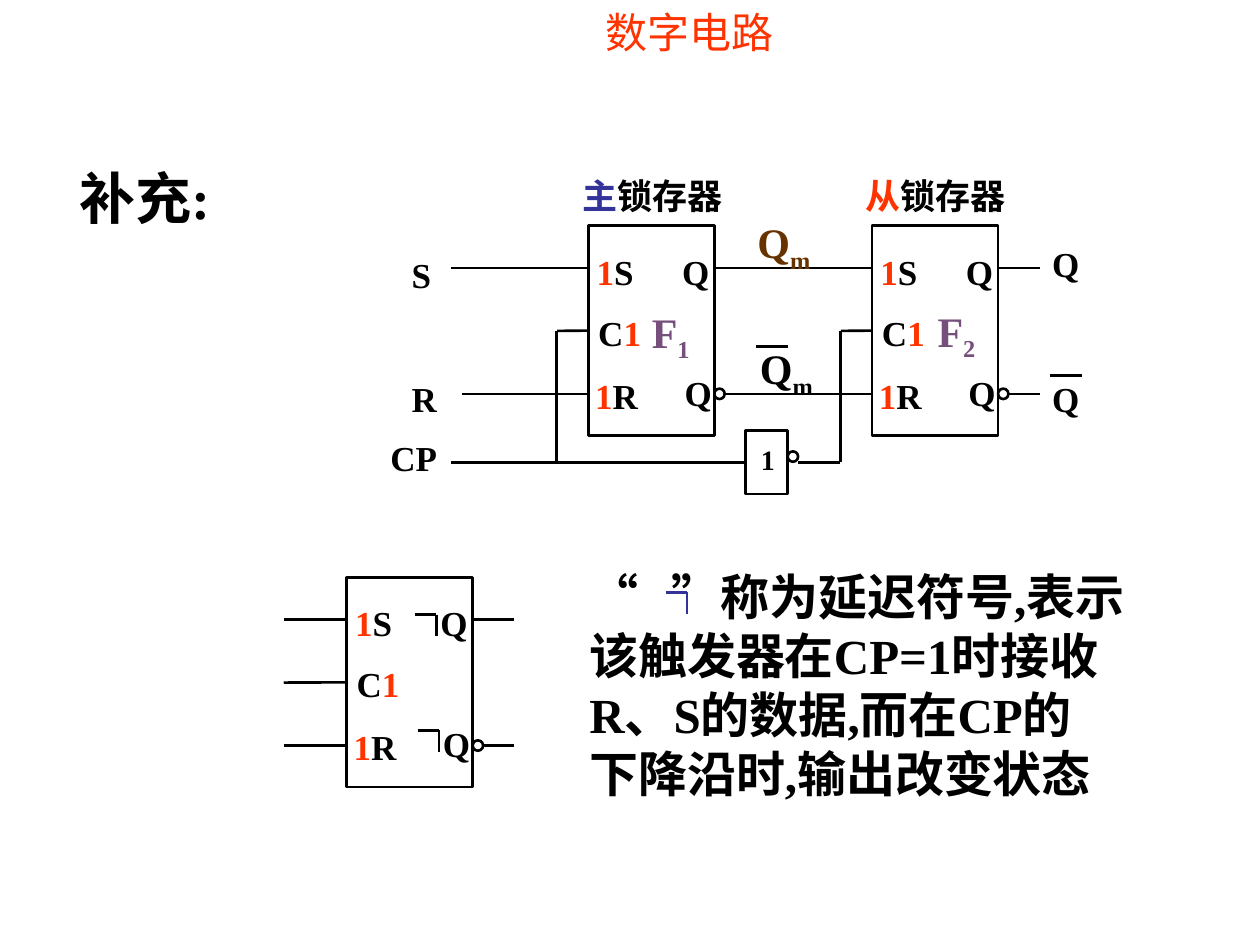
"""Slide on the master-slave RS flip-flop: latch circuit, symbol and delay mark."""
from lxml.etree import SubElement
from pptx import Presentation
from pptx.dml.color import RGBColor
from pptx.enum.shapes import MSO_CONNECTOR as Link, MSO_SHAPE as Kind
from pptx.enum.text import MSO_AUTO_SIZE as Fit
from pptx.oxml.ns import qn
from pptx.util import Cm, Pt

BLACK, RED, BLUE = "000000", "FF3300", "333399"
PURPLE, BROWN = "764F7D", "663300"
LATIN, CHINESE = "Times New Roman", "Noto Sans CJK SC"

LATCH_WIDTH, LATCH_HEIGHT, BUBBLE = 2.54, 4.23, 0.21
PIN_HEIGHTS = (0.85, 2.12, 3.39)
OUTPUT_END = 3.38
MARK_SIZE = 0.43
TAB_STOP = 1.66

PIN_LABELS = [
    (-0.08, 0.37, 1.3, [("1", RED), ("S", BLACK)]),
    (-0.05, 1.6, 1.4, [("C", BLACK), ("1", RED)]),
    (-0.11, 2.87, 1.4, [("1", RED), ("R", BLACK)]),
    (1.64, 0.37, 1.04, [("Q", BLACK)]),
    (1.69, 2.81, 1.04, [("Q", BLACK)]),
]

LATCHES = [
    (6.99, 11.64, (1.27, 1.27, 1.27)),
    (11.86, 4.55, (2.77, 0.63, 2.54)),
    (17.58, 4.55, (2.54, 0.63, 2.34)),
]

DELAY_MARKS = [(8.37, 12.39, BLACK), (8.42, 14.72, BLACK), (13.42, 11.94, BLUE)]

WIRES = [
    (16.94, 6.67, 16.94, 9.32),
    (16.94, 9.32, 16.09, 9.32),
    (11.22, 6.67, 11.22, 9.32),
    (11.22, 9.32, 9.1, 9.32),
    (21.17, 7.57, 21.81, 7.57),
    (15.24, 6.99, 15.88, 6.99),
]

LABELS = [
    (15.09, 8.8, 0.79, 0.94, 16, [("1", BLACK)]),
    (20.96, 4.76, 1.04, 1.12, 20, [("Q", BLACK)]),
    (20.96, 7.48, 1.04, 1.12, 20, [("Q", BLACK)]),
    (8.05, 4.98, 0.89, 1.12, 20, [("S", BLACK)]),
    (8.05, 7.48, 1.02, 1.12, 20, [("R", BLACK)]),
    (7.62, 8.68, 1.45, 1.12, 20, [("CP", BLACK)]),
    (11.5, 3.39, 3.35, 1.12, 20, [("主", BLUE), ("锁存器", BLACK)]),
    (17.2, 3.39, 3.35, 1.12, 20, [("从", RED), ("锁存器", BLACK)]),
    (1.35, 3.18, 3.4, 1.63, 32, [("补充:", BLACK)]),
]

SUBSCRIPTED = [
    (12.89, 6.05, 1.27, "F", "1", PURPLE),
    (18.65, 6.03, 1.27, "F", "2", PURPLE),
    (15.02, 4.25, 1.57, "Q", "m", BROWN),
    (15.07, 6.78, 1.57, "Q", "m", BLACK),
]

EXPLANATION = [
    "“\t”称为延迟符号,表示",
    "该触发器在CP=1时接收",
    "R、S的数据,而在CP的",
    "下降沿时,输出改变状态",
]


def color(code):
    return RGBColor.from_string(code)


def add_span(para, text, size, code, bold=True, latin=LATIN):
    span = para.add_run()
    span.text = text
    span.font.size, span.font.bold = Pt(size), bold
    span.font.color.rgb = color(code)
    span.font.name = latin
    marks = span._r.get_or_add_rPr()
    SubElement(marks, qn("a:ea")).set("typeface", CHINESE)
    return marks


def add_box(page, left, top, width, height):
    box = page.shapes.add_textbox(Cm(left), Cm(top), Cm(width), Cm(height))
    box.text_frame.word_wrap = False
    box.text_frame.auto_size = Fit.SHAPE_TO_FIT_TEXT
    return box.text_frame


def add_label(page, left, top, width, height, size, spans):
    para = add_box(page, left, top, width, height).paragraphs[0]
    for text, code in spans:
        add_span(para, text, size, code)


def add_outline(page, kind, left, top, width, height):
    shape = page.shapes.add_shape(kind, Cm(left), Cm(top), Cm(width), Cm(height))
    shape.shadow.inherit = False
    shape.fill.background()
    shape.line.color.rgb = color(BLACK)
    shape.line.width = Pt(1.5)
    return shape


def add_wire(page, x1, y1, x2, y2, code=BLACK):
    wire = page.shapes.add_connector(Link.STRAIGHT, Cm(x1), Cm(y1), Cm(x2), Cm(y2))
    wire.line.color.rgb = color(code)
    wire.line.width = Pt(1.5)
    SubElement(wire._element.spPr, qn("a:effectLst"))
    return wire


def add_latch(page, left, top, leads):
    body = add_outline(page, Kind.RECTANGLE, left, top, LATCH_WIDTH, LATCH_HEIGHT)
    wires = [
        add_wire(page, left, top + pin, left - lead, top + pin)
        for pin, lead in zip(PIN_HEIGHTS, leads)
    ]
    wires[1].begin_connect(body, 1)
    right, upper, lower = left + LATCH_WIDTH, top + PIN_HEIGHTS[0], top + PIN_HEIGHTS[2]
    add_wire(page, right, upper, left + OUTPUT_END, upper)
    add_wire(page, right + BUBBLE, lower, left + OUTPUT_END, lower)
    add_outline(page, Kind.OVAL, right, lower - BUBBLE / 2, BUBBLE, BUBBLE)
    for dx, dy, width, spans in PIN_LABELS:
        add_label(page, left + dx, top + dy, width, 1.12, 20, spans)


def add_inverter(page):
    body = add_outline(page, Kind.RECTANGLE, 15.03, 8.68, 0.85, 1.28)
    add_outline(page, Kind.OVAL, 15.88, 9.1, BUBBLE, BUBBLE)
    add_wire(page, 11.22, 9.32, 15.03, 9.32).end_connect(body, 1)


def add_delay_mark(page, left, top, code):
    right = left + MARK_SIZE
    add_wire(page, left, top, right, top, code)
    add_wire(page, right, top, right, top + MARK_SIZE, code)


def add_explanation(page):
    frame = add_box(page, 11.63, 11.3, 12.57, 5)
    for index, text in enumerate(EXPLANATION):
        para = frame.add_paragraph() if index else frame.paragraphs[0]
        if "\t" in text:
            stops = SubElement(para._p.get_or_add_pPr(), qn("a:tabLst"))
            SubElement(stops, qn("a:tab"), pos=str(Cm(TAB_STOP)), algn="l")
        add_span(para, text, 28, BLACK)


def main():
    deck = Presentation()
    deck.slide_width, deck.slide_height = Cm(25.4), Cm(19.05)
    page = deck.slides.add_slide(deck.slide_layouts[6])
    title = add_box(page, 11.96, 0, 3.9, 1.52)
    title.auto_size = Fit.NONE
    add_span(title.paragraphs[0], "数字电路", 24, RED, False, CHINESE)
    for latch in LATCHES:
        add_latch(page, *latch)
    add_inverter(page)
    for wire in WIRES:
        add_wire(page, *wire)
    for mark in DELAY_MARKS:
        add_delay_mark(page, *mark)
    for label in LABELS:
        add_label(page, *label)
    for left, top, width, letter, index, code in SUBSCRIPTED:
        para = add_box(page, left, top, width, 1.42).paragraphs[0]
        add_span(para, letter, 24, code)
        add_span(para, index, 24, code).set("baseline", "-25000")
    add_explanation(page)
    deck.save("out.pptx")


if __name__ == "__main__":
    main()
